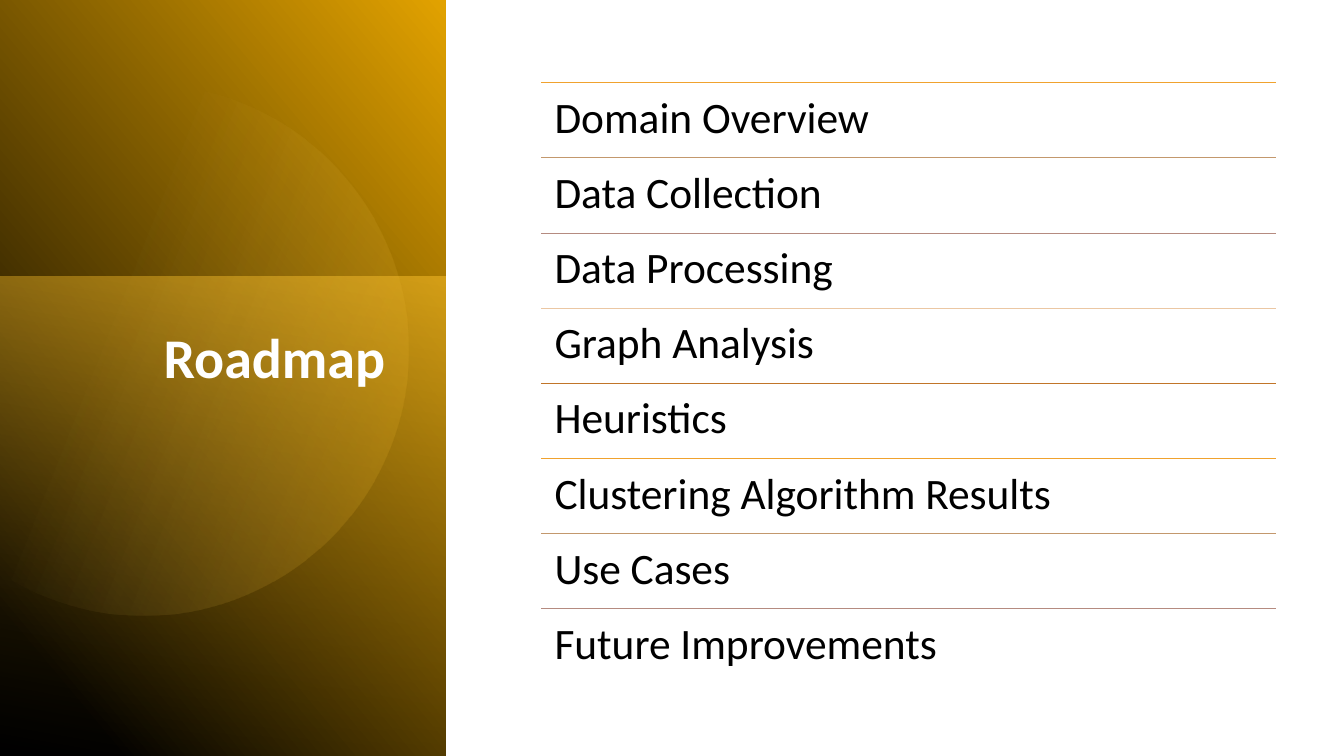
import math

from lxml import etree
from pptx import Presentation
from pptx import util as u
from pptx.dml.color import RGBColor
from pptx.enum import shapes, text
from pptx.oxml import ns

WHITE = RGBColor(0xFF, 0xFF, 0xFF)
BLACK = RGBColor(0x00, 0x00, 0x00)
GOLD = RGBColor(0xE2, 0xA2, 0x00)
AMBER = RGBColor(0xFF, 0xC4, 0x2F)
BRONZE = RGBColor(0x97, 0x6C, 0x00)
CREAM = RGBColor(0xFF, 0xDC, 0x82)
RULE_COLOURS = [
    RGBColor(0xF0, 0xA2, 0x2E),
    RGBColor(0xC3, 0x98, 0x6D),
    RGBColor(0xB5, 0x8B, 0x80),
    RGBColor(0xEB, 0xC7, 0xA3),
    RGBColor(0xC1, 0x75, 0x29),
]
FONT = "Calibri"
TOPICS = [
    "Domain Overview",
    "Data Collection",
    "Data Processing",
    "Graph Analysis",
    "Heuristics",
    "Clustering Algorithm Results",
    "Use Cases",
    "Future Improvements",
]
LIST_LEFT, LIST_TOP, LIST_WIDTH = 5.37, 0.82, 7.29
ROW_HEIGHT = 5.22 / 7

DISC_LEFT, DISC_TOP, DISC_WIDTH, DISC_HEIGHT = -0.82, 1.31, 5.26, 4.47
DISC_TURN = 101.6
DISC_OUTLINE = [
    ("moveTo", [(1.43, 0.84)]),
    ("cubicBezTo", [(1.6, 0.84), (1.78, 0.86), (1.96, 0.89)]),
    ("cubicBezTo", [(3.38, 1.19), (4.29, 2.58), (4, 4)]),
    ("cubicBezTo", [(3.71, 5.42), (2.32, 6.34), (0.9, 6.05)]),
    ("cubicBezTo", [(0.63, 5.99), (0.38, 5.9), (0.15, 5.77)]),
    ("lnTo", [(0, 5.68)]),
    ("lnTo", [(0, 1.26)]),
    ("lnTo", [(0.2, 1.15)]),
    ("cubicBezTo", [(0.57, 0.95), (0.99, 0.84), (1.43, 0.84)]),
    ("close", []),
]


def fill_gradient(shape, angle, stops):
    shape.shadow.inherit = False
    shape.line.fill.background()
    shape.fill.gradient()
    gradient = shape.element.spPr.find(ns.qn("a:gradFill"))
    for child in list(gradient):
        gradient.remove(child)
    gradient.set("rotWithShape", "1")
    stop_list = etree.SubElement(gradient, ns.qn("a:gsLst"))
    for position, colour, opacity in stops:
        stop = etree.SubElement(stop_list, ns.qn("a:gs"), pos=str(position * 1000))
        tint = etree.SubElement(stop, ns.qn("a:srgbClr"), val=str(colour))
        if opacity < 100:
            etree.SubElement(tint, ns.qn("a:alpha"), val=str(opacity * 1000))
    etree.SubElement(gradient, ns.qn("a:lin"), ang=str(angle * 60000), scaled="0")


def add_band(page, left, top, width, height, turn, angle, stops):
    band = page.shapes.add_shape(
        shapes.MSO_SHAPE.RECTANGLE,
        u.Inches(left), u.Inches(top), u.Inches(width), u.Inches(height),
    )
    band.rotation = turn
    fill_gradient(band, angle, stops)
    return band


def disc_point(point):
    angle = math.radians(-DISC_TURN)
    dx = point[0] - DISC_LEFT - DISC_WIDTH / 2
    dy = point[1] - DISC_TOP - DISC_HEIGHT / 2
    x = DISC_WIDTH / 2 + dx * math.cos(angle) - dy * math.sin(angle)
    y = DISC_HEIGHT / 2 + dx * math.sin(angle) + dy * math.cos(angle)
    return u.Inches(x), u.Inches(y)


def add_disc(page):
    corners = [disc_point(points[-1]) for _, points in DISC_OUTLINE if points]
    builder = page.shapes.build_freeform(*corners[0], scale=1.0)
    builder.add_line_segments(corners[1:], close=True)
    disc = builder.convert_to_shape()
    disc.left, disc.top = u.Inches(DISC_LEFT), u.Inches(DISC_TOP)
    disc.width, disc.height = u.Inches(DISC_WIDTH), u.Inches(DISC_HEIGHT)
    disc.rotation = DISC_TURN
    outline = disc.element.spPr.find(".//" + ns.qn("a:path"))
    for child in list(outline):
        outline.remove(child)
    outline.set("w", str(disc.width))
    outline.set("h", str(disc.height))
    for command, points in DISC_OUTLINE:
        segment = etree.SubElement(outline, ns.qn("a:" + command))
        for point in points:
            x, y = disc_point(point)
            etree.SubElement(segment, ns.qn("a:pt"), x=str(x), y=str(y))
    fill_gradient(disc, 280, [(39, CREAM, 0), (100, GOLD, 26)])


def add_span(para, words, size, colour, bold=False):
    para.line_spacing = 0.9
    span = para.add_run()
    span.text = words
    span.font.name = FONT
    span.font.size = u.Pt(size)
    span.font.bold = bold
    span.font.color.rgb = colour


def place_title(page, words):
    title = page.shapes.title
    title.element.getparent().append(title.element)
    title.left, title.top = u.Inches(0.58), u.Inches(3.23)
    title.width, title.height = u.Inches(3.34), u.Inches(3.86)
    frame = title.text_frame
    frame.word_wrap = True
    frame.vertical_anchor = text.MSO_ANCHOR.TOP
    para = frame.paragraphs[0]
    para.alignment = text.PP_ALIGN.RIGHT
    add_span(para, words, 40, WHITE, bold=True)


def add_rule(group, top, colour):
    rule = group.shapes.add_connector(
        shapes.MSO_CONNECTOR.STRAIGHT,
        u.Inches(LIST_LEFT), u.Inches(top),
        u.Inches(LIST_LEFT + LIST_WIDTH), u.Inches(top),
    )
    rule.line.color.rgb = colour
    rule.line.width = u.Pt(0.5)
    etree.SubElement(rule.element.spPr, ns.qn("a:effectLst"))


def add_topic(group, top, words):
    box = group.shapes.add_textbox(
        u.Inches(LIST_LEFT), u.Inches(top), u.Inches(LIST_WIDTH), u.Inches(ROW_HEIGHT)
    )
    frame = box.text_frame
    frame.word_wrap = True
    frame.vertical_anchor = text.MSO_ANCHOR.TOP
    frame.margin_left = frame.margin_right = u.Inches(0.13)
    frame.margin_top = frame.margin_bottom = u.Inches(0.13)
    add_span(frame.paragraphs[0], words, 31, BLACK)


def main():
    deck = Presentation()
    deck.slide_width, deck.slide_height = u.Inches(13.33), u.Inches(7.5)
    page = deck.slides.add_slide(deck.slide_layouts[5])
    page.background.fill.solid()
    page.background.fill.fore_color.rgb = WHITE

    panel = add_band(page, -1.55, 1.55, 7.52, 4.42, 90, 310,
                     [(11, BLACK, 100), (100, GOLD, 100)])
    panel.element.spPr.xfrm.set("flipH", "1")
    add_band(page, -0.17, 2.91, 4.76, 4.42, 270, 190,
             [(0, AMBER, 50), (100, BRONZE, 0)])
    add_disc(page)
    place_title(page, "Roadmap")

    group = page.shapes.add_group_shape()
    for row, words in enumerate(TOPICS):
        top = LIST_TOP + row * ROW_HEIGHT
        add_rule(group, top, RULE_COLOURS[row % len(RULE_COLOURS)])
        add_topic(group, top, words)

    deck.save("out.pptx")


if __name__ == "__main__":
    main()
